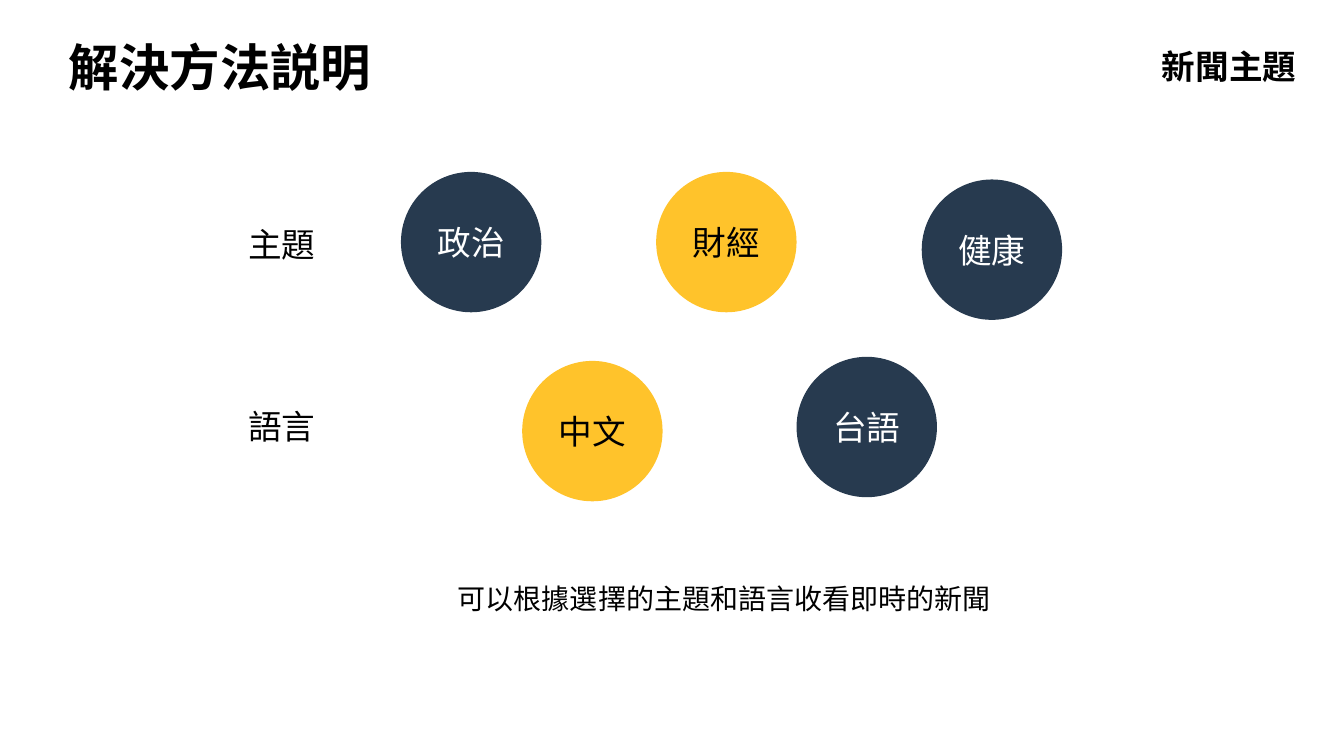
from lxml import etree
from pptx import Presentation
from pptx import util as u
from pptx.dml import color
from pptx.enum import shapes, text
from pptx.oxml import ns

NAVY, YELLOW, BLACK, WHITE = "273A4F", "FFC32B", "000000", "FFFFFF"
CJK_FONT = "Noto Sans CJK SC"
DIAMETER = 100.3


def rgb(value):
    return color.RGBColor.from_string(value)


class NewsSlide:
    def __init__(self, presentation):
        self.slide = presentation.slides.add_slide(presentation.slide_layouts[6])
        self.style = {"name": "Arial", "size": u.Pt(24), "bold": False}

    def add_words(self, shape, words, ink, **changes):
        paragraph = shape.text_frame.paragraphs[0]
        paragraph.alignment = text.PP_ALIGN.CENTER
        run = paragraph.add_run()
        run.text = words
        for name, value in {**self.style, **changes}.items():
            setattr(run.font, name, value)
        run.font.color.rgb = rgb(ink)
        east_asian = etree.SubElement(run._r.get_or_add_rPr(), ns.qn("a:ea"))
        east_asian.set("typeface", CJK_FONT)

    def label(self, words, left, top, width, height, wrap=True, **changes):
        shape = self.slide.shapes.add_textbox(*map(u.Pt, (left, top, width, height)))
        shape.text_frame.word_wrap = wrap
        shape.text_frame.auto_size = text.MSO_AUTO_SIZE.SHAPE_TO_FIT_TEXT
        self.add_words(shape, words, BLACK, **changes)

    def choice(self, words, left, top, selected):
        """Draw a round option, yellow when selected."""
        shape = self.slide.shapes.add_shape(
            shapes.MSO_SHAPE.OVAL, *map(u.Pt, (left, top, DIAMETER, DIAMETER)))
        shape.shadow.inherit = False
        shape.fill.solid()
        shape.fill.fore_color.rgb = rgb(YELLOW if selected else NAVY)
        shape.line.fill.background()
        shape.text_frame.vertical_anchor = text.MSO_ANCHOR.MIDDLE
        self.add_words(shape, words, BLACK if selected else WHITE)


def main():
    presentation = Presentation()
    presentation.slide_width, presentation.slide_height = u.Pt(960), u.Pt(540)
    page = NewsSlide(presentation)

    heading = {"wrap": False, "name": CJK_FONT, "bold": True}
    page.label("解決方法説明", 41, 22.3, 232.6, 50.9, size=u.Pt(36), **heading)
    page.label("新聞主題", 822.2, 29.5, 111.6, 36.35, **heading)

    for words, top in (("主題", 156.4), ("語言", 286.6)):
        page.label(words, 123.9, top, 154.8, 36.35)
    page.label("可以根據選擇的主題和語言收看即時的新聞",
               286.6, 411.8, 461.5, 31.5, size=u.Pt(20))

    for words, left, top, selected in (
        ("政治", 286.4, 122.8, False),
        ("財經", 468.7, 122.8, True),
        ("健康", 658.4, 128.2, False),
        ("中文", 373, 257.8, True),
        ("台語", 569, 254.9, False),
    ):
        page.choice(words, left, top, selected)

    presentation.save("out.pptx")


if __name__ == "__main__":
    main()
